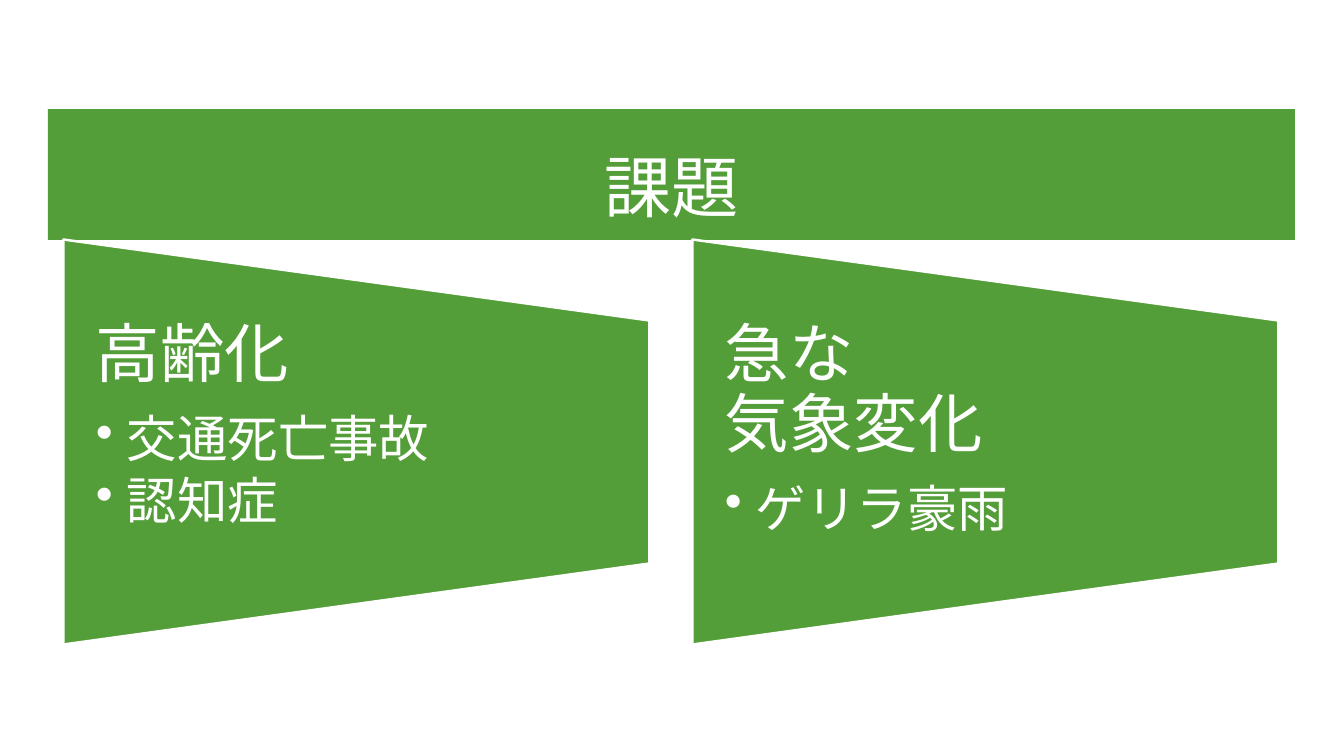
from dataclasses import dataclass

from lxml import etree
from pptx import Presentation
from pptx import util as u
from pptx.dml import color
from pptx.enum import lang, shapes, text
from pptx.oxml import ns

SCALE = 914400 / 100.8


def px(n):
    return u.Emu(round(n * SCALE))


@dataclass
class Theme:
    green: str = "549E39"
    white: str = "FFFFFF"
    font: str = "Cabin"
    title: int = 48
    head: int = 46
    item: int = 36
    edge: float = 1.75


def write(par, words, theme, size, align=text.PP_ALIGN.LEFT, line=None, after=0, bullet=False):
    par.text = words
    par.alignment = align
    par.line_spacing = line
    par.space_after = u.Pt(after)
    for run in par.runs:
        run.font.size = u.Pt(size)
        run.font.name = theme.font
        run.font.language_id = lang.MSO_LANGUAGE_ID.JAPANESE
        run.font.color.rgb = color.RGBColor.from_string(theme.white)
    if bullet:
        props = par._p.get_or_add_pPr()
        props.set("marL", str(px(31)))
        props.set("indent", str(-px(31)))
        etree.SubElement(props, ns.qn("a:buChar")).set("char", "•")


class Page:
    def __init__(self, slide, theme):
        self.slide = slide
        self.theme = theme

    def block(self, kind, x, y, w, h, turn=0, edge=False):
        shape = self.slide.shapes.add_shape(kind, px(x), px(y), px(w), px(h))
        shape.shadow.inherit = False
        shape.rotation = turn
        shape.fill.solid()
        shape.fill.fore_color.rgb = color.RGBColor.from_string(self.theme.green)
        if edge:
            shape.line.color.rgb = color.RGBColor.from_string(self.theme.white)
            shape.line.width = u.Pt(self.theme.edge)
        else:
            shape.line.fill.background()

    def frame(self, x, y, w, h, side=10, rim=5, anchor=text.MSO_ANCHOR.TOP):
        frame = self.slide.shapes.add_textbox(px(x), px(y), px(w), px(h)).text_frame
        frame.word_wrap = True
        frame.vertical_anchor = anchor
        frame.margin_left = frame.margin_right = px(side)
        frame.margin_top = frame.margin_bottom = px(rim)
        return frame

    def title(self, words):
        self.block(shapes.MSO_SHAPE.RECTANGLE, 48, 109, 1247, 131)
        frame = self.frame(64, 119, 1216, 112, anchor=text.MSO_ANCHOR.BOTTOM)
        write(frame.paragraphs[0], words, self.theme, self.theme.title,
              align=text.PP_ALIGN.CENTER)

    def panel(self, x, head, items):
        y, w, h = 240, 586, 405
        self.block(shapes.MSO_SHAPE.FLOWCHART_MANUAL_OPERATION,
                   x + (w - h) // 2, y + (h - w) // 2, h, w, turn=270, edge=True)
        frame = self.frame(x, 322, w, 243, side=32, rim=0)
        write(frame.paragraphs[0], head, self.theme, self.theme.head,
              line=0.9, after=16)
        for item in items:
            write(frame.add_paragraph(), item, self.theme, self.theme.item,
                  line=0.9, after=5.4, bullet=True)


def main():
    deck = Presentation()
    deck.slide_width, deck.slide_height = px(1344), px(756)
    page = Page(deck.slides.add_slide(deck.slide_layouts[6]), Theme())
    page.title("課題")
    panels = [
        ("高齢化", ["交通死亡事故", "認知症"]),
        ("急な\v気象変化", ["ゲリラ豪雨"]),
    ]
    for i, (head, items) in enumerate(panels):
        page.panel(64 + 629 * i, head, items)
    deck.save("out.pptx")


if __name__ == "__main__":
    main()
